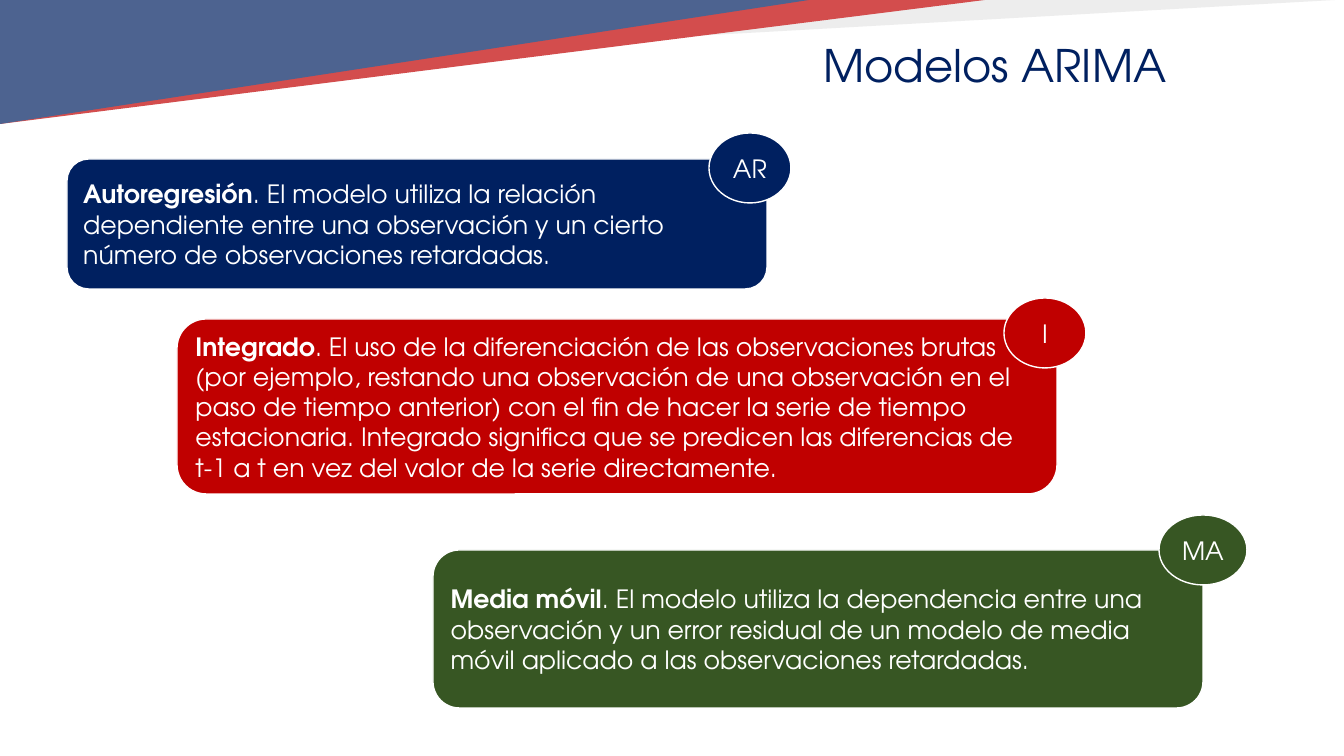
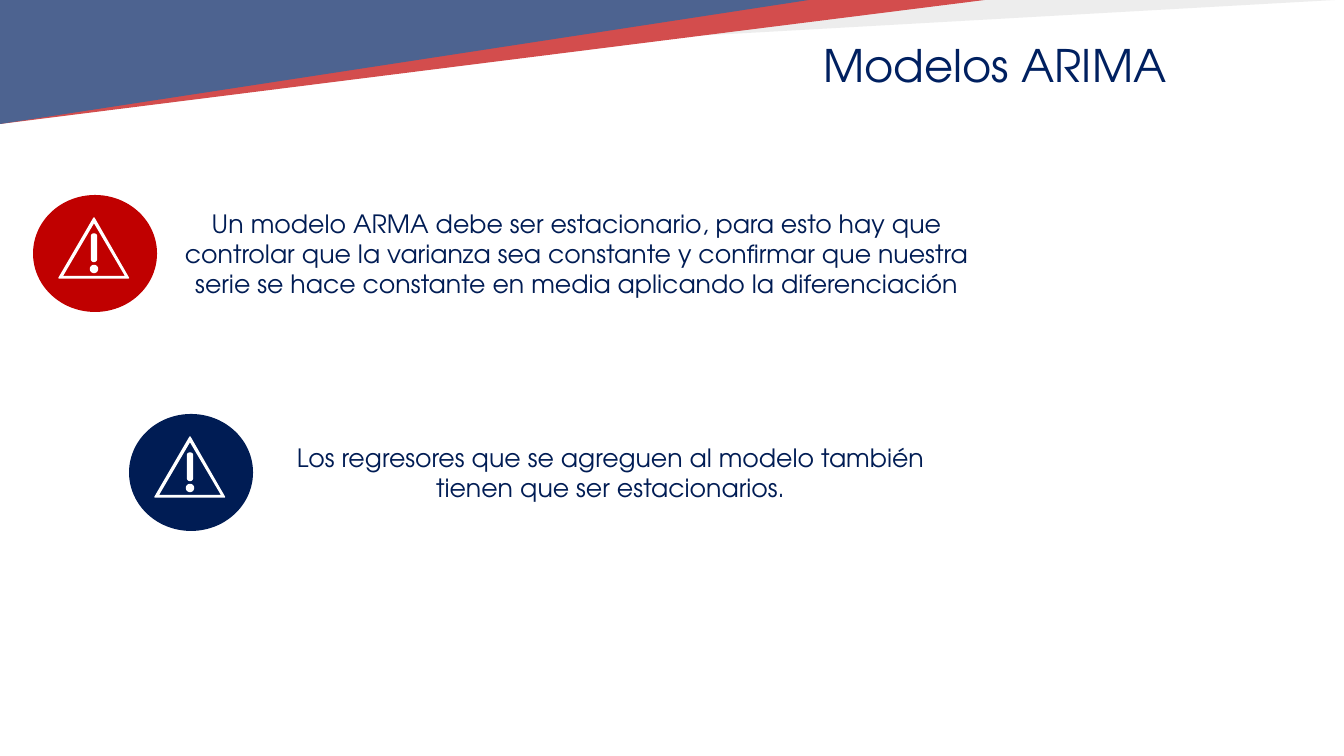
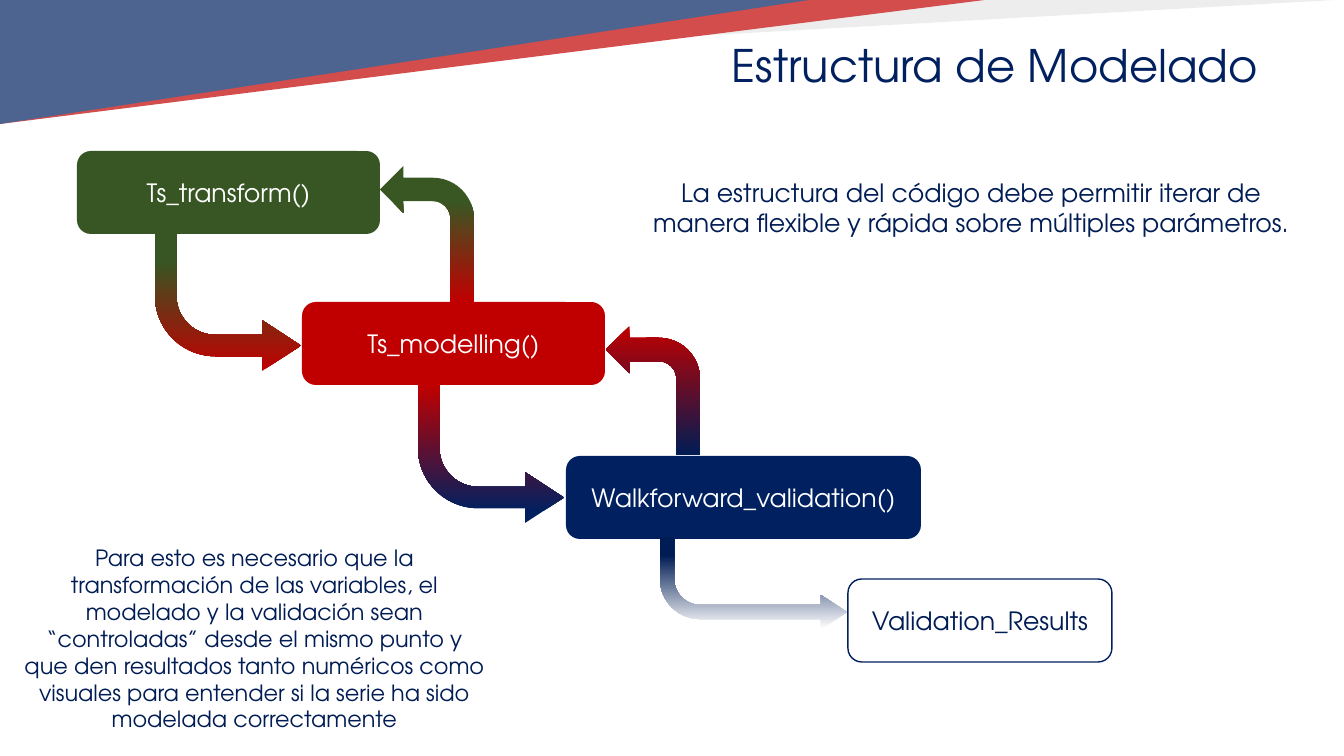
"""Build three slides on ARIMA models and the structure of the modelling code."""
from math import cos, pi, sin

from lxml.etree import SubElement
from pptx import Presentation
from pptx.dml.color import RGBColor
from pptx.enum.shapes import MSO_SHAPE as Preset
from pptx.enum.text import PP_ALIGN as Align
from pptx.oxml.ns import qn
from pptx.util import Pt

PIXEL = 914400 / 100.8
FONT = "TeX Gyre Adventor"
COLORS = {
    "navy": "002060", "ink": "001C54", "red": "C00000", "green": "375623",
    "moss": "385723", "grey": "E6E6E6", "white": "FFFFFF",
}
RGB = {name: RGBColor.from_string(value) for name, value in COLORS.items()}


def add_block(slide, preset, box, fill=None, line=None, flip=None, adjustments=()):
    left, top, width, height = (round(length * PIXEL) for length in box)
    if preset is None:
        return slide.shapes.add_textbox(left, top, width, height)
    shape = slide.shapes.add_shape(preset, left, top, width, height)
    shape.shadow.inherit = False
    for index, value in enumerate(adjustments):
        shape.adjustments[index] = value
    if flip:
        shape.element.spPr.xfrm.set(flip, "1")
    if isinstance(fill, list):
        shape.fill.gradient()
        shape.fill.gradient_angle = 270
        for stop, (position, color) in zip(shape.fill.gradient_stops, fill):
            stop.position = position
            stop.color.rgb = RGB[color]
    else:
        shape.fill.solid()
        shape.fill.fore_color.rgb = RGB[fill]
    if line:
        shape.line.color.rgb = RGB[line]
        shape.line.width = Pt(1)
    else:
        shape.line.fill.background()
    return shape


def write(shape, *texts, color="white", size=18, align=Align.CENTER):
    shape.text_frame.word_wrap = True
    paragraph = shape.text_frame.paragraphs[0]
    paragraph.alignment = align
    for index, text in enumerate(texts):
        run = paragraph.add_run()
        run.text = text
        font_format = {"name": FONT, "size": Pt(size), "bold": len(texts) > 1 and index == 0}
        for attribute, value in font_format.items():
            setattr(run.font, attribute, value)
        run.font.color.rgb = RGB[color]


presentation = Presentation()
presentation.slide_width = round(1344 * PIXEL)
presentation.slide_height = round(756 * PIXEL)
layout = presentation.slide_layouts[6]

slides = []
for title in ("Modelos ARIMA", "Modelos ARIMA", "Estructura de Modelado"):
    slide = presentation.slides.add_slide(layout)
    write(add_block(slide, None, (646, 33, 698, 65)), title, color="navy", size=32)
    slides.append(slide)
terms_slide, warnings_slide, structure_slide = slides

bands = [
    add_block(terms_slide, Preset.ISOSCELES_TRIANGLE, (0, 0, width, height), color,
              flip="flipV", adjustments=[0])
    for width, height, color in ((1336, 75, "grey"), (985, 124, "red"), (809, 124, "navy"))
]
veil = add_block(terms_slide, Preset.RECTANGLE, (0, 0, 1344, 146), "white")
veil_color = veil.element.spPr.find(".//" + qn("a:srgbClr"))
SubElement(veil_color, qn("a:alpha"), val="30000")
for band in [*bands, veil]:
    layout.shapes.element.append(band.element)

terms = [
    ("AR", "navy", (67, 159, 700, 130), (709, 133, 82, 70), "Autoregresión",
     ". El modelo utiliza la relación dependiente entre una observación y un cierto "
     "número de observaciones retardadas."),
    ("I", "red", (177, 319, 880, 175), (1004, 298, 82, 70), "Integrado",
     ". El uso de la diferenciación de las observaciones brutas (por ejemplo, restando "
     "una observación de una observación en el paso de tiempo anterior) con el fin de "
     "hacer la serie de tiempo estacionaria. Integrado significa que se predicen las "
     "diferencias de t-1 a t en vez del valor de la serie directamente."),
    ("MA", "green", (433, 550, 770, 158), (1159, 515, 88, 70), "Media móvil",
     ". El modelo utiliza la dependencia entre una observación y un error residual de "
     "un modelo de media móvil aplicado a las observaciones retardadas."),
]
for initials, color, card_box, badge_box, term, definition in terms:
    card = add_block(terms_slide, Preset.ROUNDED_RECTANGLE, card_box, color, "white")
    write(card, term, definition, align=Align.LEFT)
    write(add_block(terms_slide, Preset.OVAL, badge_box, color, "white"), initials)

# Sign outlines are in tenths of a pixel.
sign_outlines = [
    [(350, 0), (695, 600), (0, 600)],
    [(350, 40), (670, 585), (30, 585)],
]
for radius, top, bottom in ((25, 185, 410), (35, 510, 510)):
    angles = [step * pi / 12 for step in range(24)]
    sign_outlines.append([
        (350 + radius * cos(angle), (bottom if angle < pi else top) + radius * sin(angle))
        for angle in angles
    ])

warnings = [
    (33, 195, "red", (159, 210, 835, 87),
     "Un modelo ARMA debe ser estacionario, para esto hay que controlar que la varianza "
     "sea constante y confirmar que nuestra serie se hace constante en media aplicando "
     "la diferenciación"),
    (129, 414, "ink", (253, 429, 715, 87),
     "Los regresores que se agreguen al modelo también tienen que ser estacionarios."),
]
for left, top, color, text_box, warning in warnings:
    write(add_block(warnings_slide, Preset.ROUNDED_RECTANGLE, text_box, "white"),
          warning, color="ink")
    add_block(warnings_slide, Preset.OVAL, (left, top, 124, 117), color)
    builder = warnings_slide.shapes.build_freeform(*sign_outlines[0][0], scale=PIXEL / 10)
    for outline in sign_outlines:
        builder.move_to(*outline[0])
        builder.add_line_segments(outline[1:], close=True)
    sign = builder.convert_to_shape(round((left + 26) * PIXEL), round((top + 23) * PIXEL))
    sign.shadow.inherit = False
    sign.fill.solid()
    sign.fill.fore_color.rgb = RGB["white"]
    sign.line.color.rgb = RGB["white"]
    sign.line.width = Pt(1)

steps = [
    ("Ts_modelling()", (302, 302, 303, 83), "red", None, "white"),
    ("Walkforward_validation()", (566, 456, 355, 83), "navy", None, "white"),
    ("Ts_transform()", (77, 151, 303, 83), "green", None, "white"),
    ("Validation_Results", (848, 579, 264, 83), "white", "navy", "ink"),
]
for name, box, fill, line, color in steps:
    step = add_block(structure_slide, Preset.ROUNDED_RECTANGLE, box, fill, line)
    write(step, name, color=color)

forward = ("flipV", (0.155, 0.184, 0.282, 0.438))
back = ("flipH", ())
arrows = [
    ((606, 326, 94, 129), back, [(0, "red"), (1, "ink")]),
    ((380, 166, 94, 136), back, [(0.26, "moss"), (1, "red")]),
    ((155, 233, 146, 138), forward, [(0, "red"), (0.8, "green")]),
    ((418, 385, 146, 138), forward, [(0.08, "navy"), (1, "red")]),
    ((660, 537, 187, 92), forward, [(0, "white"), (0.8, "ink")]),
]
for box, (flip, adjustments), gradient in arrows:
    add_block(structure_slide, Preset.BENT_ARROW, box, gradient,
              flip=flip, adjustments=adjustments)

control_note = add_block(structure_slide, Preset.ROUNDED_RECTANGLE, (2, 520, 505, 210), "white")
control_note.text_frame.margin_top = round(27 * PIXEL)
control_note.text_frame.margin_bottom = 0
write(control_note,
      "Para esto es necesario que la transformación de las variables, el modelado y la "
      "validación sean “controladas” desde el mismo punto y que den resultados tanto "
      "numéricos como visuales para entender si la serie ha sido modelada correctamente",
      color="ink", size=16)
write(add_block(structure_slide, None, (632, 172, 678, 72)),
      "La estructura del código debe permitir iterar de manera flexible y rápida sobre "
      "múltiples parámetros.", color="ink")

presentation.save("out.pptx")
